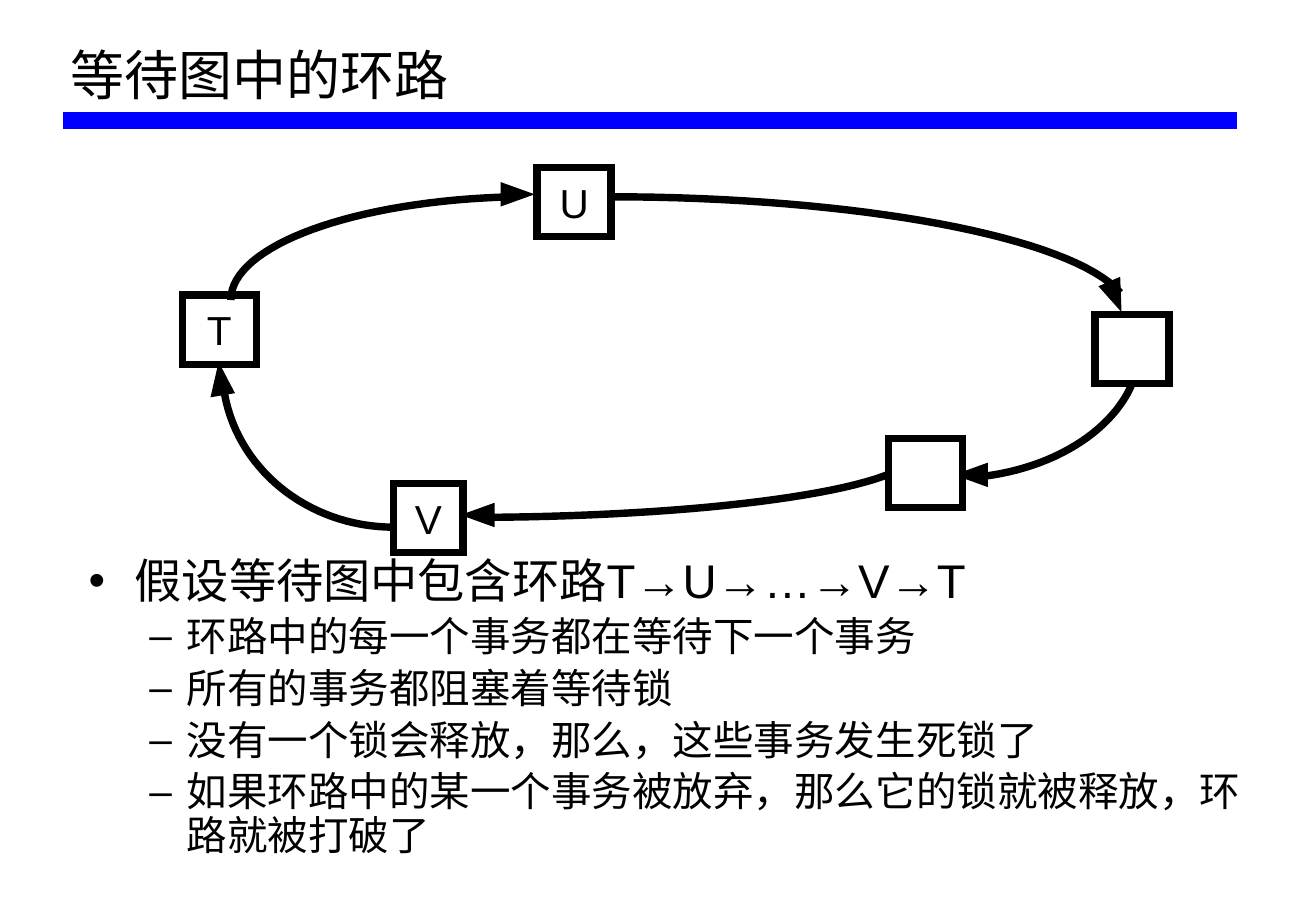
from dataclasses import dataclass

from lxml import etree
from pptx import Presentation, util as u
from pptx.dml.color import RGBColor
from pptx.enum import shapes, text
from pptx.oxml.ns import qn

PX = 9144
CURVE_STEPS = 32
HEAD_GROW = 1.12


@dataclass(frozen=True)
class Theme:
    font: str = "Arial"
    ink: RGBColor = RGBColor(0, 0, 0)
    paper: RGBColor = RGBColor(255, 255, 255)
    rule: RGBColor = RGBColor(0, 0, 255)
    title: int = 32
    levels: tuple = (28, 24)
    node: int = 24
    stroke: float = 4.38
    rule_stroke: int = 10
    line_spacing: float = 0.9
    paragraph_gap: float = 0.2


THEME = Theme()
SLIDE_SIZE = (1083, 750)
TITLE = "等待图中的环路"
TITLE_BOX = (48, 13, 972, 80)
TITLE_RULE = (52, 99, 1018, 99)
POINTS_BOX = (63, 454, 969, 269)
POINTS = [
    (0, "假设等待图中包含环路T→U→…→V→T"),
    (1, "环路中的每一个事务都在等待下一个事务"),
    (1, "所有的事务都阻塞着等待锁"),
    (1, "没有一个锁会释放，那么，这些事务发生死锁了"),
    (1, "如果环路中的某一个事务被放弃，那么它的锁就被释放，环路就被打破了"),
]
BULLETS = [("•", 38, -38), ("–", 81, -31)]
NAMED_NODES = [
    ("U", (442, 138, 61, 57)),
    ("V", (324, 398, 57, 57)),
    ("T", (150, 243, 61, 57)),
]
UNNAMED_NODES = [("", (731, 361, 61, 57)), ("", (901, 259, 61, 57))]
WAITS = [
    {"curve": ((190, 247), (190, 202), (292, 165), (423, 162)),
     "head": ((440, 160), (415, 151), (415, 169))},
    {"curve": ((324, 434), (253, 434), (193, 385), (184, 319)),
     "head": ((180, 298), (192, 321), (174, 324))},
    {"curve": ((501, 162), (706, 162), (882, 195), (922, 241)),
     "head": ((923, 257), (906, 238), (922, 231))},
    {"curve": ((938, 286), (938, 340), (879, 386), (802, 393)),
     "head": ((785, 391), (810, 382), (810, 400))},
    {"curve": ((755, 371), (755, 401), (596, 425), (396, 426)),
     "head": ((379, 424), (404, 415), (404, 433))},
]


def px(*lengths):
    return [u.Emu(round(length * PX)) for length in lengths]


def add_run(paragraph, words, size):
    run = paragraph.add_run()
    run.text = words
    run.font.name = THEME.font
    run.font.size = u.Pt(size)
    run.font.color.rgb = THEME.ink


def set_stroke(line):
    line.color.rgb = THEME.ink
    line.width = u.Pt(THEME.stroke)


def add_title(slide):
    title = slide.shapes.title
    title.left, title.top, title.width, title.height = px(*TITLE_BOX)
    frame = title.text_frame
    frame.word_wrap = True
    frame.auto_size = text.MSO_AUTO_SIZE.NONE
    frame.vertical_anchor = text.MSO_ANCHOR.BOTTOM
    heading = frame.paragraphs[0]
    heading.alignment = text.PP_ALIGN.LEFT
    heading.line_spacing = THEME.line_spacing
    add_run(heading, TITLE, THEME.title)

    rule = slide.shapes.add_connector(shapes.MSO_CONNECTOR.STRAIGHT, *px(*TITLE_RULE))
    rule.line.color.rgb = THEME.rule
    rule.line.width = u.Pt(THEME.rule_stroke)
    etree.SubElement(rule._element.spPr, qn("a:effectLst"))


def add_points(slide):
    frame = slide.shapes.add_textbox(*px(*POINTS_BOX)).text_frame
    frame.word_wrap = True
    for index, (level, words) in enumerate(POINTS):
        point = frame.add_paragraph() if index else frame.paragraphs[0]
        size = THEME.levels[level]
        mark, margin, indent = BULLETS[level]
        point.level = level
        point.line_spacing = THEME.line_spacing
        if index:
            point.space_before = u.Pt(size * THEME.paragraph_gap)
        properties = point._p.get_or_add_pPr()
        for name, length in zip(("marL", "indent"), px(margin, indent)):
            properties.set(name, str(length))
        etree.SubElement(properties, qn("a:buFont"), typeface=THEME.font)
        etree.SubElement(properties, qn("a:buChar"), char=mark)
        add_run(point, words, size)


def add_nodes(slide, nodes):
    for name, box in nodes:
        node = slide.shapes.add_shape(shapes.MSO_SHAPE.RECTANGLE, *px(*box))
        node.shadow.inherit = False
        node.fill.solid()
        node.fill.fore_color.rgb = THEME.paper
        set_stroke(node.line)
        etree.SubElement(node.line._get_or_add_ln(), qn("a:miter"), lim="800000")
        if name:
            frame = node.text_frame
            frame.word_wrap = False
            frame.margin_left = frame.margin_right = 0
            frame.margin_top = frame.margin_bottom = 0
            frame.vertical_anchor = text.MSO_ANCHOR.MIDDLE
            label = frame.paragraphs[0]
            label.alignment = text.PP_ALIGN.CENTER
            add_run(label, name, THEME.node)


def bezier(controls, t):
    weights = ((1 - t) ** 3, 3 * t * (1 - t) ** 2, 3 * t * t * (1 - t), t ** 3)
    return [sum(w * c for w, c in zip(weights, axis)) for axis in zip(*controls)]


def add_outline(slide, points, close):
    start, *rest = [px(*point) for point in points]
    builder = slide.shapes.build_freeform(*start)
    builder.add_line_segments(rest, close=close)
    outline = builder.convert_to_shape()
    outline.shadow.inherit = False
    return outline


def add_wait(slide, curve, head):
    tip, *corners = head
    base = [[t + HEAD_GROW * (c - t) for t, c in zip(tip, corner)] for corner in corners]
    arrow = add_outline(slide, [tip, *base], True)
    arrow.fill.solid()
    arrow.fill.fore_color.rgb = THEME.ink
    arrow.line.fill.background()

    steps = [bezier(curve, step / CURVE_STEPS) for step in range(CURVE_STEPS + 1)]
    arc = add_outline(slide, steps, False)
    arc.fill.background()
    set_stroke(arc.line)


def main():
    deck = Presentation()
    deck.slide_width, deck.slide_height = px(*SLIDE_SIZE)
    slide = deck.slides.add_slide(deck.slide_layouts[5])
    add_title(slide)
    add_points(slide)
    add_nodes(slide, NAMED_NODES)
    for wait in WAITS:
        add_wait(slide, **wait)
    add_nodes(slide, UNNAMED_NODES)
    deck.save("out.pptx")


if __name__ == "__main__":
    main()
